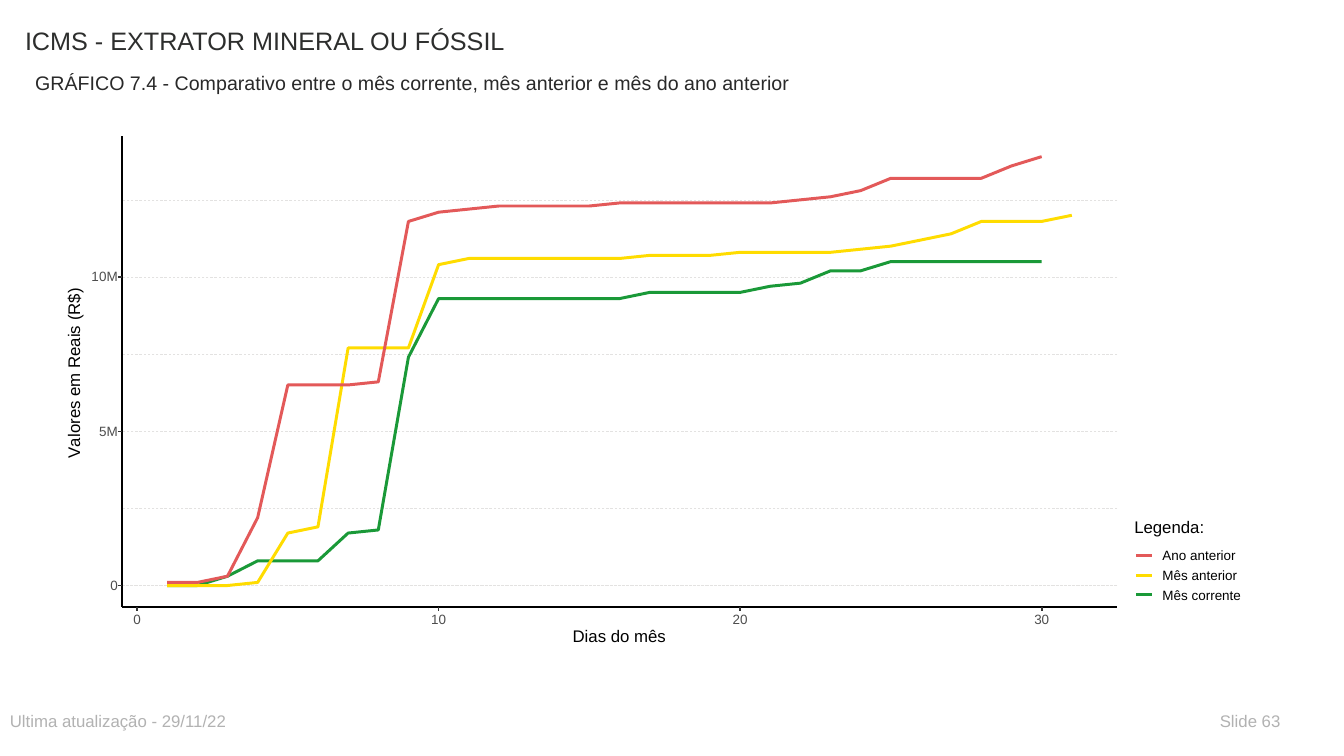
"""Build the ICMS slide comparing three months of daily revenue."""
from copy import deepcopy
from dataclasses import dataclass

from lxml import etree
from pptx import Presentation
from pptx.chart import data as chart_data
from pptx.dml.color import RGBColor
from pptx.enum import chart as kinds, dml, shapes, text
from pptx.oxml import ns
from pptx.util import Inches, Pt

FONT = "Arial"
BLACK = RGBColor(0x00, 0x00, 0x00)
TITLE_INK = RGBColor(0x2D, 0x2E, 0x2D)
SUBTITLE_INK = RGBColor(0x29, 0x29, 0x29)
FOOTER_GREY = RGBColor(0xB2, 0xB2, 0xB2)
TICK_GREY = RGBColor(0x4D, 0x4D, 0x4D)
TICK_LINE = RGBColor(0x33, 0x33, 0x33)
GRID_GREY = RGBColor(0xE3, 0xE2, 0xE1)
RED = RGBColor(0xE3, 0x59, 0x59)
YELLOW = RGBColor(0xFF, 0xDC, 0x00)
GREEN = RGBColor(0x1A, 0x99, 0x38)

CHART_LEFT, CHART_TOP, CHART_WIDTH, CHART_HEIGHT = 0.6, 1, 11.81, 5.5
PLOT_LEFT, PLOT_TOP, PLOT_RIGHT, PLOT_ZERO, PLOT_BOTTOM = 1.21, 1.35, 11.08, 5.81, 6.02
DAY_COUNT, DAY_STEP = 33, 10
VALUE_TOP, VALUE_STEP = 14.57, 5
TICK = 0.04
LEGEND_TOP, LEGEND_STEP = 5.9, 0.195


@dataclass
class Label:
    words: str
    left: float
    top: float
    width: float
    height: float
    size: float
    color: RGBColor


@dataclass
class Month:
    name: str
    color: RGBColor
    millions: list[float]


@dataclass
class AxisTitle:
    words: str
    left: float
    top: float
    rotation: int


LABELS = [
    Label("ICMS - EXTRATOR MINERAL OU FÓSSIL", 0.15, 0.2, 8, 0.59, 18, TITLE_INK),
    Label("GRÁFICO 7.4 - Comparativo entre o mês corrente, mês anterior e mês do ano anterior",
          0.25, 0.65, 8, 0.3, 14, SUBTITLE_INK),
    Label("Ultima atualização - 29/11/22", 0, 7, 6.5, 0.3, 12, FOOTER_GREY),
    Label("Slide 63", 12, 7, 0.9, 0.3, 12, FOOTER_GREY),
]

MONTHS = [
    Month("Mês corrente", GREEN, [
        0, 0, 0.3, 0.8, 0.8, 0.8, 1.7, 1.8, 7.4, 9.3, 9.3, 9.3, 9.3, 9.3, 9.3,
        9.3, 9.5, 9.5, 9.5, 9.5, 9.7, 9.8, 10.2, 10.2, 10.5, 10.5, 10.5, 10.5, 10.5, 10.5]),
    Month("Mês anterior", YELLOW, [
        0, 0, 0, 0.1, 1.7, 1.9, 7.7, 7.7, 7.7, 10.4, 10.6, 10.6, 10.6, 10.6, 10.6, 10.6,
        10.7, 10.7, 10.7, 10.8, 10.8, 10.8, 10.8, 10.9, 11, 11.2, 11.4, 11.8, 11.8, 11.8, 12]),
    Month("Ano anterior", RED, [
        0.1, 0.1, 0.3, 2.2, 6.5, 6.5, 6.5, 6.6, 11.8, 12.1, 12.2, 12.3, 12.3, 12.3, 12.3,
        12.4, 12.4, 12.4, 12.4, 12.4, 12.4, 12.5, 12.6, 12.8, 13.2, 13.2, 13.2, 13.2, 13.6, 13.9]),
]

DAYS = AxisTitle("Dias do mês", 5.65, 6.18, 0)
REAIS = AxisTitle("Valores em Reais (R$)", 0.58, 2.83, -5400000)


def style_font(font, size: float, color: RGBColor) -> None:
    """Set family, size and colour."""
    font.name, font.size = FONT, Pt(size)
    font.color.rgb = color


def add_label(page, label: Label, inset: bool = True, centred: bool = False) -> None:
    """Add one line of text."""
    box = page.shapes.add_textbox(*map(Inches, (label.left, label.top, label.width, label.height)))
    frame = box.text_frame
    frame.word_wrap = True
    if not inset:
        frame.margin_left = frame.margin_right = frame.margin_top = frame.margin_bottom = 0
        frame.vertical_anchor = text.MSO_ANCHOR.MIDDLE
    para = frame.paragraphs[0]
    if centred:
        para.alignment = text.PP_ALIGN.CENTER
    span = para.add_run()
    span.text = label.words
    style_font(span.font, label.size, label.color)


def add_line(page, ends: tuple[float, float, float, float], color: RGBColor, width: float) -> None:
    """Add a straight line without shadow."""
    line = page.shapes.add_connector(shapes.MSO_CONNECTOR.STRAIGHT, *map(Inches, ends))
    line.line.color.rgb, line.line.width = color, Pt(width)
    etree.SubElement(line._element.spPr, ns.qn("a:effectLst"))


def place(parent, index: int, **values: object) -> None:
    """Give a chart element a manual layout."""
    for old in parent.findall(ns.qn("c:layout")):
        parent.remove(old)
    layout = etree.Element(ns.qn("c:layout"))
    manual = etree.SubElement(layout, ns.qn("c:manualLayout"))
    for tag, value in values.items():
        etree.SubElement(manual, ns.qn(f"c:{tag}")).set("val", str(value))
    parent.insert(index, layout)


def add_axis_title(axis, heading: AxisTitle) -> None:
    """Title an axis and hide its own tick marks."""
    axis.major_tick_mark = axis.minor_tick_mark = kinds.XL_TICK_MARK.NONE
    span = axis.axis_title.text_frame.paragraphs[0].add_run()
    span.text = heading.words
    style_font(span.font, 12, BLACK)
    span.font.bold = False
    title = axis.axis_title._element
    title.find(".//" + ns.qn("a:bodyPr")).set("rot", str(heading.rotation))
    place(title, 1, xMode="edge", yMode="edge",
          x=(heading.left - CHART_LEFT) / CHART_WIDTH, y=(heading.top - CHART_TOP) / CHART_HEIGHT)


def style_grid_line(line) -> None:
    """Make a line thin, grey and dashed."""
    line.color.rgb, line.width = GRID_GREY, Pt(0.43)
    line.dash_style = dml.MSO_LINE.DASH


def style_axes(days, reais) -> None:
    """Set scale, labels, titles and gridlines."""
    add_axis_title(days, DAYS)
    days.tick_label_position = kinds.XL_TICK_LABEL_POSITION.NONE
    style_grid_line(days.format.line)
    add_axis_title(reais, REAIS)
    reais.minimum_scale, reais.maximum_scale = 0, VALUE_TOP
    reais.major_unit, reais.minor_unit = VALUE_STEP, VALUE_STEP / 2
    reais.format.line.fill.background()
    reais.tick_labels.number_format = '0"M";-0"M";0'
    reais.tick_labels.number_format_is_linked = False
    style_font(reais.tick_labels.font, 9.6, TICK_GREY)
    reais.has_major_gridlines = reais.has_minor_gridlines = True
    style_grid_line(reais.major_gridlines.format.line)
    major = reais._element.find(ns.qn("c:majorGridlines"))
    reais._element.find(ns.qn("c:minorGridlines")).append(deepcopy(major[0]))


def add_month_chart(page) -> None:
    """Add the chart with one line per month."""
    data = chart_data.CategoryChartData()
    data.categories = range(DAY_COUNT)
    for month in MONTHS:
        after = [None] * (DAY_COUNT - 1 - len(month.millions))
        data.add_series(month.name, [None, *month.millions, *after])
    chart = page.shapes.add_chart(
        kinds.XL_CHART_TYPE.LINE,
        *map(Inches, (CHART_LEFT, CHART_TOP, CHART_WIDTH, CHART_HEIGHT)), data).chart
    chart.has_title = chart.has_legend = False
    style_font(chart.font, 9.6, BLACK)
    chart.plots[0].vary_by_categories = False
    for series, month in zip(chart.plots[0].series, MONTHS):
        series.smooth = False
        series.format.line.color.rgb = month.color
        series.format.line.width = Pt(2.13)
    style_axes(chart.category_axis, chart.value_axis)
    place(chart._chartSpace.find(".//" + ns.qn("c:plotArea")), 0,
          layoutTarget="inner", xMode="edge", yMode="edge",
          x=(PLOT_LEFT - CHART_LEFT) / CHART_WIDTH, y=(PLOT_TOP - CHART_TOP) / CHART_HEIGHT,
          w=(PLOT_RIGHT - PLOT_LEFT) / CHART_WIDTH, h=(PLOT_ZERO - PLOT_TOP) / CHART_HEIGHT)


def add_axis_lines(page) -> None:
    """Draw both axis lines, their ticks and the day labels."""
    add_line(page, (PLOT_LEFT, PLOT_BOTTOM, PLOT_LEFT, PLOT_TOP), BLACK, 1.16)
    add_line(page, (PLOT_LEFT, PLOT_BOTTOM, PLOT_RIGHT, PLOT_BOTTOM), BLACK, 1.16)
    for value in range(0, int(VALUE_TOP), VALUE_STEP):
        y = PLOT_ZERO - value * (PLOT_ZERO - PLOT_TOP) / VALUE_TOP
        add_line(page, (PLOT_LEFT - TICK, y, PLOT_LEFT, y), TICK_LINE, 1.16)
    for day in range(0, DAY_COUNT, DAY_STEP):
        x = PLOT_LEFT + (day + 0.5) * (PLOT_RIGHT - PLOT_LEFT) / DAY_COUNT
        add_line(page, (x, PLOT_BOTTOM + TICK, x, PLOT_BOTTOM), TICK_LINE, 1.16)
        add_label(page, Label(str(day), x - 0.2, 6.06, 0.4, 0.16, 9.6, TICK_GREY), False, True)


def add_legend(page) -> None:
    """Add the legend heading and entries, last month on top."""
    add_label(page, Label("Legenda:", 11.25, 5.13, 0.9, 0.2, 12, BLACK), inset=False)
    for row, month in enumerate(MONTHS):
        y = LEGEND_TOP - row * LEGEND_STEP
        add_line(page, (11.27, y, 11.43, y), month.color, 2.13)
        add_label(page, Label(month.name, 11.53, y - 0.08, 1, 0.16, 9.6, BLACK), inset=False)


def main() -> None:
    """Create and save the deck."""
    deck = Presentation()
    deck.slide_width, deck.slide_height = Inches(13.33), Inches(7.5)
    page = deck.slides.add_slide(deck.slide_layouts[6])
    add_month_chart(page)
    add_axis_lines(page)
    add_legend(page)
    for label in LABELS:
        add_label(page, label)
    deck.save("out.pptx")


if __name__ == "__main__":
    main()
